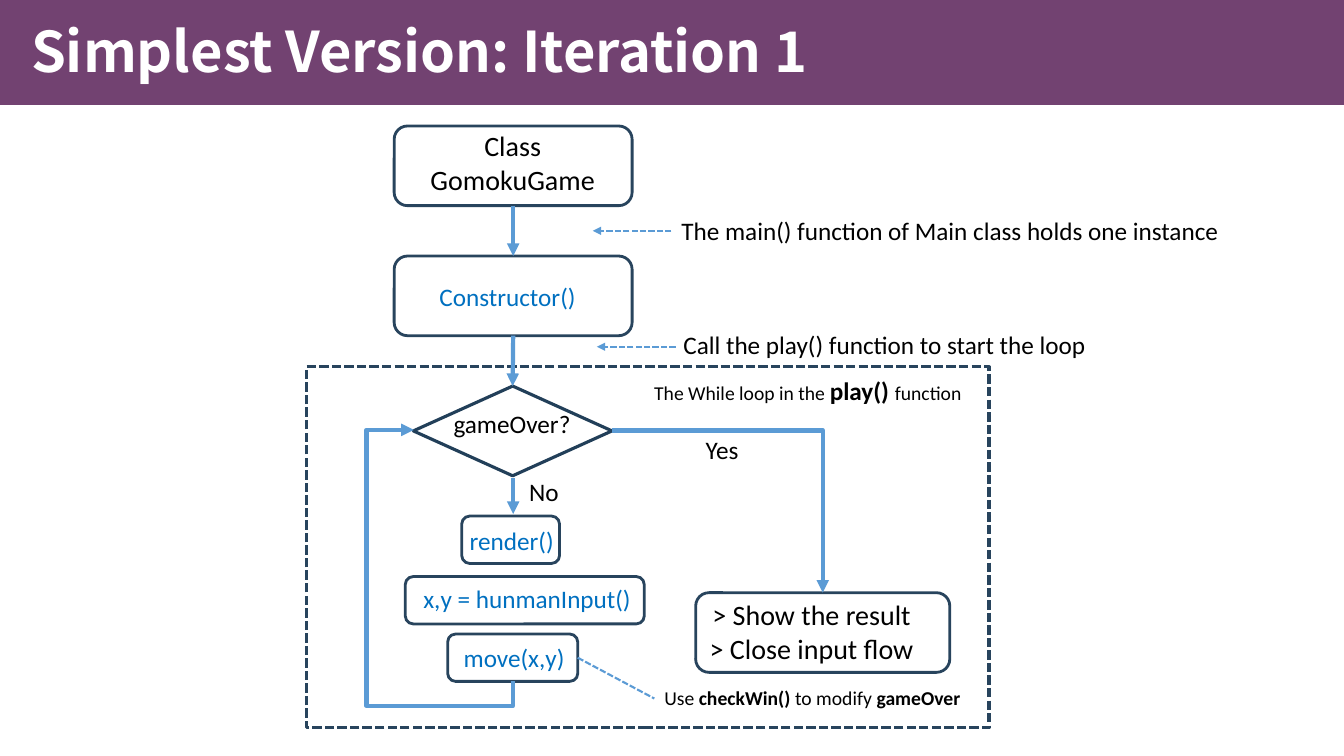
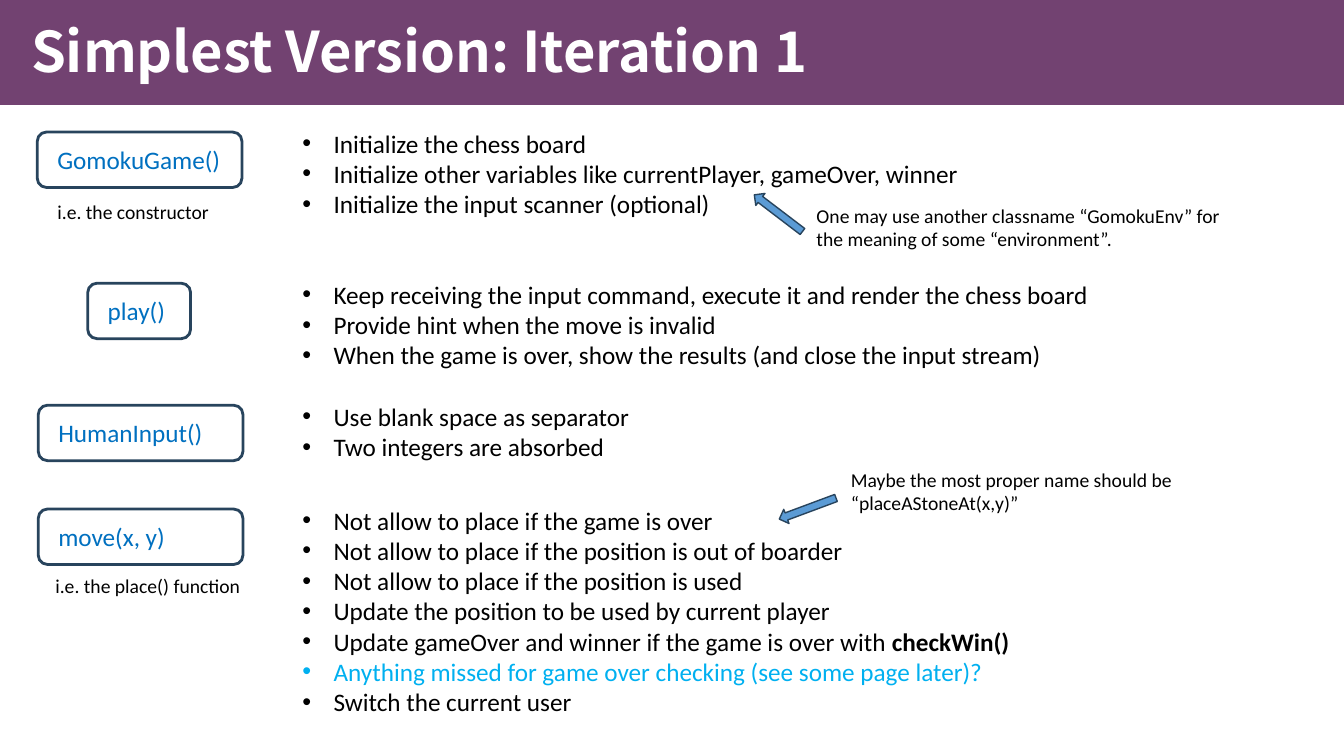
from lxml.etree import SubElement
from pptx import Presentation
from pptx.dml.color import RGBColor
from pptx.enum.dml import MSO_LINE
from pptx.enum.shapes import MSO_CONNECTOR, MSO_SHAPE
from pptx.enum.text import MSO_ANCHOR, MSO_AUTO_SIZE, PP_ALIGN
from pptx.oxml.ns import qn
from pptx.util import Inches, Pt

PURPLE = RGBColor(0x63, 0x2E, 0x62)
WHITE = RGBColor(0xFF, 0xFF, 0xFF)
BLACK = RGBColor(0, 0, 0)
NAVY = RGBColor(0x28, 0x44, 0x5D)
DARK_NAVY = RGBColor(0x22, 0x3F, 0x59)
BLUE = RGBColor(0x5B, 0x9B, 0xD5)
CODE_BLUE = RGBColor(0x00, 0x70, 0xC0)
SKY = RGBColor(0x00, 0xB0, 0xF0)

TITLE = {"name": "Noto Sans CJK SC", "size": Pt(40), "bold": True, "color": WHITE}
BODY = {"name": "Calibri", "size": Pt(18), "bold": False, "color": BLACK}
CODE = {**BODY, "color": CODE_BLUE}
LARGE = {**BODY, "size": Pt(20)}
SMALL = {**BODY, "size": Pt(14)}
BOLD = {"bold": True}


def write(page, place, paragraphs, style, wrap=False, align=PP_ALIGN.LEFT, bullets=False):
    """Add a text box; a paragraph is a string or a list of (text, changes)."""
    box = page.shapes.add_textbox(*map(Inches, place))
    frame = box.text_frame
    frame.word_wrap = wrap
    frame.auto_size = MSO_AUTO_SIZE.NONE if wrap else MSO_AUTO_SIZE.SHAPE_TO_FIT_TEXT
    for index, content in enumerate(paragraphs):
        para = frame.paragraphs[0] if index == 0 else frame.add_paragraph()
        para.alignment = align
        if bullets:
            properties = para._p.get_or_add_pPr()
            properties.set("marL", str(Inches(0.31)))
            properties.set("indent", str(Inches(-0.31)))
            SubElement(properties, qn("a:buFont"), typeface="Arial")
            SubElement(properties, qn("a:buChar"), char="•")
        for text, changes in [(content, {})] if isinstance(content, str) else content:
            span = para.add_run()
            span.text = text
            for attribute, value in {**style, **changes}.items():
                if attribute == "color":
                    span.font.color.rgb = value
                else:
                    setattr(span.font, attribute, value)
    return box


def draw(page, kind, place, line=NAVY, width=2, fill=None):
    """Add a preset shape, outlined and filled only where a colour is given."""
    shape = page.shapes.add_shape(kind, *map(Inches, place))
    shape.shadow.inherit = False
    for part, color in ((shape.fill, fill), (shape.line.fill, line)):
        if color is None:
            part.background()
        else:
            part.solid()
            part.fore_color.rgb = color
    if line is not None:
        shape.line.width = Pt(width)
    return shape


deck = Presentation()
deck.slide_width, deck.slide_height = Inches(13.33), Inches(7.5)

# Pages with the shared band and title
pages = []
for title in ["Simplest Version: Iteration 1"] * 2:
    page = deck.slides.add_slide(deck.slide_layouts[6])
    band = draw(page, MSO_SHAPE.RECTANGLE, (0, 0, 13.33, 1.04), line=None, fill=PURPLE)
    band_color = band._element.spPr.find(qn("a:solidFill"))[0]
    SubElement(band_color, qn("a:alpha"), val="90000")
    heading = write(page, (0.21, 0.08, 8.62, 0.91), [title], TITLE, wrap=True)
    heading.text_frame.vertical_anchor = MSO_ANCHOR.MIDDLE
    heading.text_frame.paragraphs[0].line_spacing = 0.9
    pages.append(page)
flow_page, method_page = pages

# Flow chart: boxes
boxes = {}
for name, place in {
    "class": (3.91, 1.25, 2.36, 0.79),
    "constructor": (3.91, 2.54, 2.36, 0.79),
    "render": (4.58, 5.12, 0.97, 0.47),
    "input": (4.02, 5.72, 2.37, 0.47),
    "move": (4.44, 6.29, 1.29, 0.47),
    "result": (6.9, 5.88, 2.52, 0.79),
}.items():
    boxes[name] = draw(flow_page, MSO_SHAPE.ROUNDED_RECTANGLE, place)
boxes["decision"] = draw(flow_page, MSO_SHAPE.FLOWCHART_DECISION,
                         (4.1, 3.83, 1.97, 0.89), DARK_NAVY, 2.25)
loop_frame = draw(flow_page, MSO_SHAPE.RECTANGLE, (3.04, 3.64, 6.77, 3.58), NAVY, 2.25)
loop_frame.line.dash_style = MSO_LINE.SQUARE_DOT

# Flow chart: texts
for place, text, style in [
    ((4.26, 2.74, 1.57, 0.4), "Constructor()", CODE),
    ((4.4, 4, 1.37, 0.4), "gameOver?", BODY),
    ((4.56, 5.16, 1.05, 0.4), "render()", CODE),
    ((4.1, 5.74, 2.29, 0.4), "x,y = hunmanInput()", CODE),
    ((4.5, 6.32, 1.21, 0.4), "move(x,y)", CODE),
    ((5.15, 4.68, 0.5, 0.4), "No", BODY),
    ((6.9, 4.26, 0.53, 0.4), "Yes", BODY),
    ((6.68, 3.22, 4.24, 0.4), "Call the play() function to start the loop", BODY),
    ((6.39, 3.67, 3.26, 0.4), [("The While loop in the ", {}),
                               ("play() ", {"size": Pt(18), **BOLD}),
                               ("function", {})], SMALL),
]:
    write(flow_page, place, [text], style)
for place, lines in [
    ((4.02, 1.23, 2.13, 0.77), ["Class GomokuGame"]),
    ((6.82, 5.88, 2.46, 0.77), ["> Show the result", "> Close input flow"]),
]:
    write(flow_page, place, lines, LARGE, wrap=True, align=PP_ALIGN.CENTER)
boxes["main note"] = write(flow_page, (6.66, 2.09, 5.6, 0.4),
                           ["The main() function of Main class holds one instance"], BODY)
boxes["win note"] = write(flow_page, (6.49, 6.76, 3.16, 0.34),
                          [[("Use ", {}), ("checkWin() ", BOLD),
                            ("to modify ", {}), ("gameOver", BOLD)]], SMALL)

# Flow chart: connectors as start, end, joined start, joined end, dashed, arrowhead, bend
STRAIGHT, ELBOW = MSO_CONNECTOR.STRAIGHT, MSO_CONNECTOR.ELBOW
for kind, start, end, start_join, end_join, dashed, arrow, bend in [
    (STRAIGHT, (5.09, 2.04), (5.09, 2.54), ("class", 2), ("constructor", 0), False, True, None),
    (STRAIGHT, (5.09, 3.33), (5.09, 3.83), ("constructor", 2), ("decision", 0), False, True, None),
    (STRAIGHT, (5.09, 4.74), (5.09, 5.1), None, None, False, True, None),
    (STRAIGHT, (6.66, 2.29), (5.88, 2.29), ("main note", 1), None, True, True, None),
    (STRAIGHT, (6.7, 3.44), (5.92, 3.44), None, None, True, True, None),
    (STRAIGHT, (5.73, 6.53), (6.49, 6.93), ("move", 3), ("win note", 1), True, False, None),
    (ELBOW, (6.07, 4.27), (8.16, 5.88), None, None, False, True, "bentConnector2"),
    (ELBOW, (3.35, 5.02), (5.84, 6), None, None, False, True, "bentConnector4"),
]:
    connector = flow_page.shapes.add_connector(kind, *map(Inches, start + end))
    if start_join:
        connector.begin_connect(boxes[start_join[0]], start_join[1])
    if end_join:
        connector.end_connect(boxes[end_join[0]], end_join[1])
    connector.line.color.rgb = BLUE
    connector.line.width = Pt(1.5 if dashed else 3)
    if dashed:
        connector.line.dash_style = MSO_LINE.SQUARE_DOT
    properties = connector._element.spPr
    if arrow:
        SubElement(properties.find(qn("a:ln")), qn("a:tailEnd"), type="triangle")
    SubElement(properties, qn("a:effectLst"))
    if bend:
        properties.find(qn("a:prstGeom")).set("prst", bend)

# The last connector returns from move to the decision: turn it and set its bends
turn = properties.find(qn("a:xfrm"))
turn.set("rot", "5400000")
turn.set("flipH", "1")
bends = properties.find(qn("a:prstGeom")).find(qn("a:avLst"))
for name, value in (("adj1", -10000), ("adj2", 148000)):
    SubElement(bends, qn("a:gd"), name=name, fmla=f"val {value}")

# Methods: name box, label and bullets, all placed from the top of the box
for left, top, width, label, label_width, bullet_width, bullet_lines in [
    (0.37, 1.31, 2.03, "GomokuGame()", 1.84, 6.78, [
        "Initialize the chess board",
        "Initialize other variables like currentPlayer, gameOver, winner",
        "Initialize the input scanner (optional)"]),
    (0.87, 2.81, 1.02, "play()", 0.78, 8.1, [
        "Keep receiving the input command, execute it and render the chess board",
        "Provide hint when the move is invalid",
        "When the game is over, show the results (and close the input stream)"]),
    (0.38, 4.02, 2.03, "HumanInput()", 1.65, 3.48, [
        "Use blank space as separator",
        "Two integers are absorbed"]),
    (0.38, 5.05, 2.03, "move(x, y)", 1.27, 7.28, [
        "Not allow to place if the game is over",
        "Not allow to place if the position is out of boarder",
        "Not allow to place if the position is used",
        "Update the position to be used by current player",
        [("Update gameOver and winner if the game is over with ", {}), ("checkWin()", BOLD)],
        [("Anything missed for game over checking (see some page later)?", {"color": SKY})],
        "Switch the current user"]),
]:
    draw(method_page, MSO_SHAPE.ROUNDED_RECTANGLE, (left, top, width, 0.55))
    write(method_page, (left + 0.1, top + 0.07, label_width, 0.4), [label], CODE)
    bullet_height = 0.1 + 0.3 * len(bullet_lines)
    write(method_page, (2.9, top - 0.09, bullet_width, bullet_height), bullet_lines, BODY,
          bullets=True)

# Methods: remarks and their arrows
for place, lines in [
    ((0.47, 1.93, 1.75, 0.34), ["i.e. the constructor"]),
    ((0.45, 5.64, 2.05, 0.34), ["i.e. the place() function"]),
    ((8, 1.97, 4.24, 0.57), ["One may use another classname “GomokuEnv” for",
                             "the meaning of some “environment”."]),
    ((8.34, 4.59, 3.42, 0.57), ["Maybe the most proper name should be",
                                "“placeAStoneAt(x,y)”"]),
]:
    write(method_page, place, lines, SMALL)
for left, top, angle in [(7.42, 2.04, 217.3), (7.71, 4.97, 159.6)]:
    pointer = draw(method_page, MSO_SHAPE.RIGHT_ARROW, (left, top, 0.6, 0.15), NAVY, 1, BLUE)
    pointer.rotation = angle

deck.save("out.pptx")
